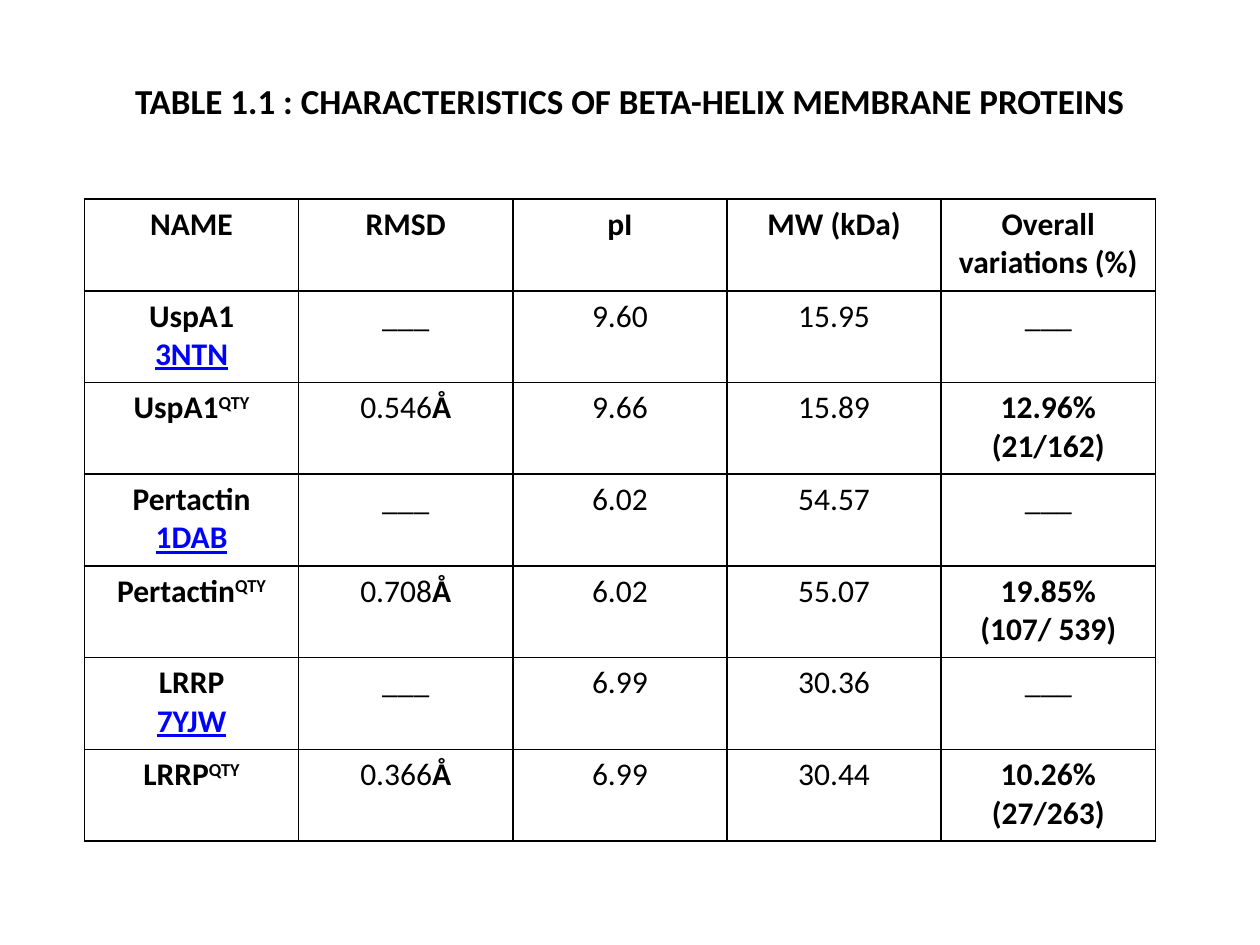
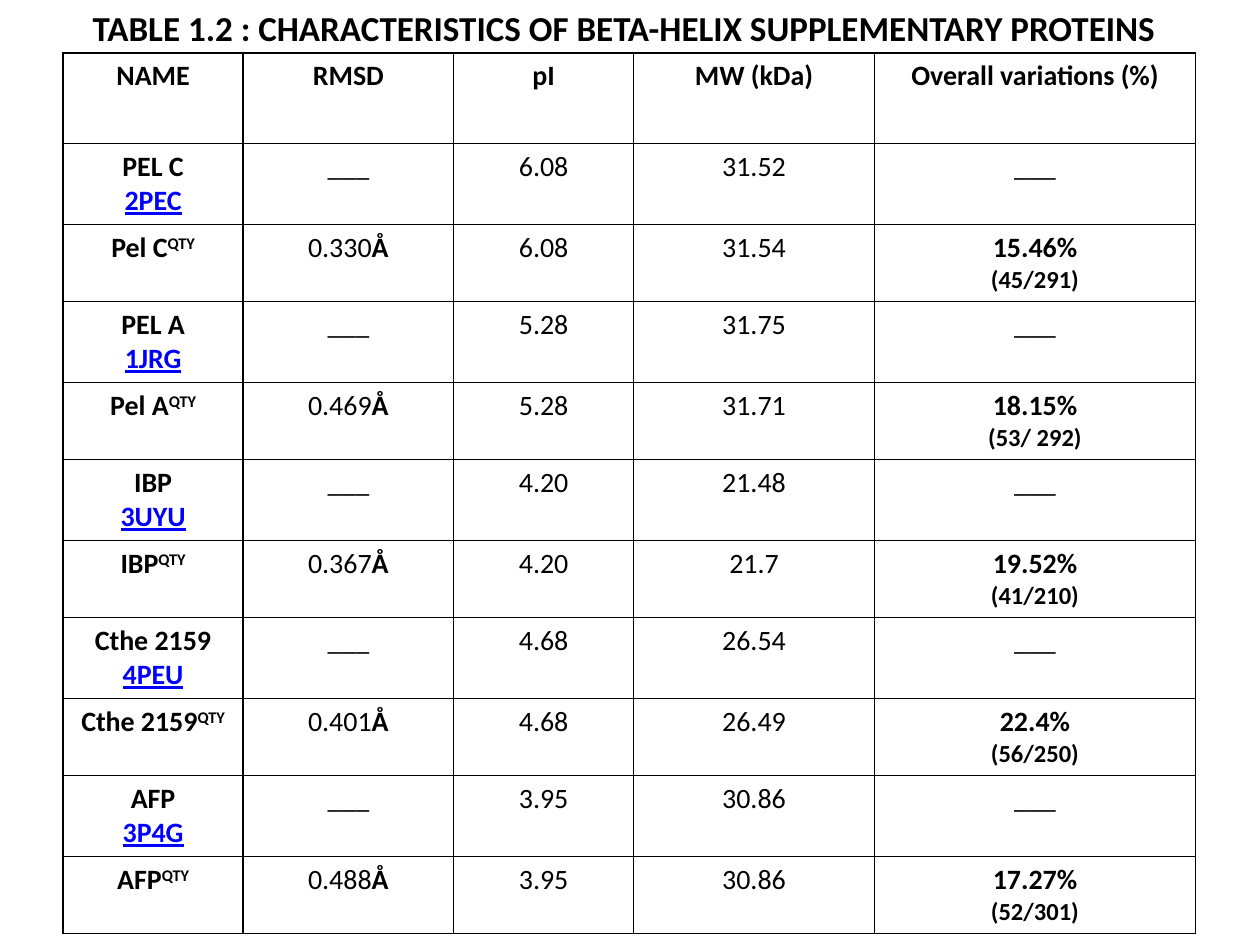
"""Builds two slides with tables of beta-helix protein characteristics."""
from itertools import cycle, islice

from lxml import etree
from pptx import Presentation
from pptx import util as u
from pptx.dml.color import RGBColor
from pptx.enum import text
from pptx.oxml import ns

BLACK = RGBColor(0x00, 0x00, 0x00)
WHITE = RGBColor(0xFF, 0xFF, 0xFF)
LINK_BLUE = RGBColor(0x00, 0x00, 0xFF)
FONT = "Calibri"
TITLE_SIZE = 20
GRID_COLUMNS, GRID_ROWS = 100, 75
TITLE_ONLY_LAYOUT = 5
NO_VALUE = "___"
HEADINGS = ("NAME", "RMSD", "pI", "MW (kDa)", "Overall variations (%)")

MEMBRANE_PROTEINS = [
    (("UspA1", "3NTN", "9.60", "15.95"),
     ("UspA1", "0.546", "9.66", "15.89", "12.96%", "(21/162)")),
    (("Pertactin", "1DAB", "6.02", "54.57"),
     ("Pertactin", "0.708", "6.02", "55.07", "19.85%", "(107/ 539)")),
    (("LRRP", "7YJW", "6.99", "30.36"),
     ("LRRP", "0.366", "6.99", "30.44", "10.26%", "(27/263)")),
]
SUPPLEMENTARY_PROTEINS = [
    (("PEL C", "2PEC", "6.08", "31.52"),
     ("Pel C", "0.330", "6.08", "31.54", "15.46%", "(45/291)")),
    (("PEL A", "1JRG", "5.28", "31.75"),
     ("Pel A", "0.469", "5.28", "31.71", "18.15%", "(53/ 292)")),
    (("IBP", "3UYU", "4.20", "21.48"),
     ("IBP", "0.367", "4.20", "21.7", "19.52%", "(41/210)")),
    (("Cthe 2159", "4PEU", "4.68", "26.54"),
     ("Cthe 2159", "0.401", "4.68", "26.49", "22.4%", "(56/250)")),
    (("AFP", "3P4G", "3.95", "30.86"),
     ("AFP", "0.488", "3.95", "30.86", "17.27%", "(52/301)")),
]


def plain(value):
    return [[(value, {"bold": False})]]


def native_row(name, code, isoelectric_point, weight):
    link = {"color": LINK_BLUE, "underline": True}
    return [[[(name, {})], [(code, link)]], plain(NO_VALUE),
            plain(isoelectric_point), plain(weight), plain(NO_VALUE)]


def variant_row(count_size, name, rmsd, isoelectric_point, weight, share, count):
    return [[[(name, {}), ("QTY", {"raised": True})]],
            [[(rmsd, {"bold": False}), ("Å", {})]],
            plain(isoelectric_point), plain(weight),
            [[(share, {})], [(count, {"size": count_size})]]]


def protein_rows(proteins, count_size):
    rows = [[[[(heading, {})]] for heading in HEADINGS]]
    for native, variant in proteins:
        rows += [native_row(*native), variant_row(count_size, *variant)]
    return rows


class Deck:
    """Holds the shared style and the current slide."""

    def __init__(self):
        self.presentation = Presentation()
        self.presentation.slide_width = u.Inches(10)
        self.presentation.slide_height = u.Inches(7.5)
        self.slide = None

    def across(self, columns):
        return round(self.presentation.slide_width * columns / GRID_COLUMNS)

    def down(self, rows):
        return round(self.presentation.slide_height * rows / GRID_ROWS)

    def place(self, left, top, width, height):
        return (self.across(left), self.down(top),
                self.across(width), self.down(height))

    def add_slide(self):
        layout = self.presentation.slide_layouts[TITLE_ONLY_LAYOUT]
        self.slide = self.presentation.slides.add_slide(layout)

    def format_run(self, run, size, color=BLACK, bold=True, underline=False,
                   raised=False):
        font = run.font
        font.name, font.size, font.bold = FONT, u.Pt(size), bold
        font.underline = underline
        font.color.rgb = color
        if raised:
            run._r.get_or_add_rPr().set("baseline", "30000")

    def title(self, wording, *area):
        shape = self.slide.shapes.title
        shape.left, shape.top, shape.width, shape.height = self.place(*area)
        frame = shape.text_frame
        frame.text = wording
        frame.word_wrap = True
        frame.auto_size = text.MSO_AUTO_SIZE.NONE
        frame.vertical_anchor = text.MSO_ANCHOR.MIDDLE
        paragraph = frame.paragraphs[0]
        paragraph.alignment = text.PP_ALIGN.CENTER
        self.format_run(paragraph.runs[0], TITLE_SIZE)

    def borders(self, cell):
        properties = cell._tc.get_or_add_tcPr()
        for position, side in enumerate(("lnL", "lnR", "lnT", "lnB")):
            line = etree.Element(ns.qn(f"a:{side}"), w=str(u.Pt(1)))
            fill = etree.SubElement(line, ns.qn("a:solidFill"))
            etree.SubElement(fill, ns.qn("a:srgbClr"), val=str(BLACK))
            properties.insert(position, line)

    def cell(self, cell, lines, size):
        cell.fill.solid()
        cell.fill.fore_color.rgb = WHITE
        self.borders(cell)
        frame = cell.text_frame
        for index, pieces in enumerate(lines):
            paragraph = frame.add_paragraph() if index else frame.paragraphs[0]
            paragraph.alignment = text.PP_ALIGN.CENTER
            for wording, style in pieces:
                run = paragraph.add_run()
                run.text = wording
                self.format_run(run, **{"size": size, **style})

    def table(self, rows, left, top, widths, heights, size):
        area = self.place(left, top, sum(widths), sum(heights))
        table = self.slide.shapes.add_table(len(rows), len(widths), *area).table
        table.first_row = table.horz_banding = False
        for column, width in zip(table.columns, widths):
            column.width = self.across(width)
        for row, height, contents in zip(table.rows, heights, rows):
            row.height = self.down(height)
            for cell, lines in zip(row.cells, contents):
                self.cell(cell, lines, size)


def main():
    deck = Deck()

    deck.add_slide()
    deck.title("TABLE 1.1 : CHARACTERISTICS OF BETA-HELIX MEMBRANE PROTEINS",
               7.5, 5.8, 85, 4.4)
    rows = protein_rows(MEMBRANE_PROTEINS, count_size=18)
    deck.table(rows, 6.7, 15.8, [17] * len(HEADINGS), [7.28] * len(rows), size=18)

    deck.add_slide()
    deck.title("TABLE 1.2 : CHARACTERISTICS OF BETA-HELIX SUPPLEMENTARY PROTEINS",
               3.3, 0, 92.5, 4.4)
    rows = protein_rows(SUPPLEMENTARY_PROTEINS, count_size=14)
    heights = [7.2, *islice(cycle((6.3, 6.1)), len(rows) - 1)]
    deck.table(rows, 5, 4.2, [14.3, 16.7, 14.3, 19.1, 25.5], heights, size=16)

    deck.presentation.save("out.pptx")


if __name__ == "__main__":
    main()
